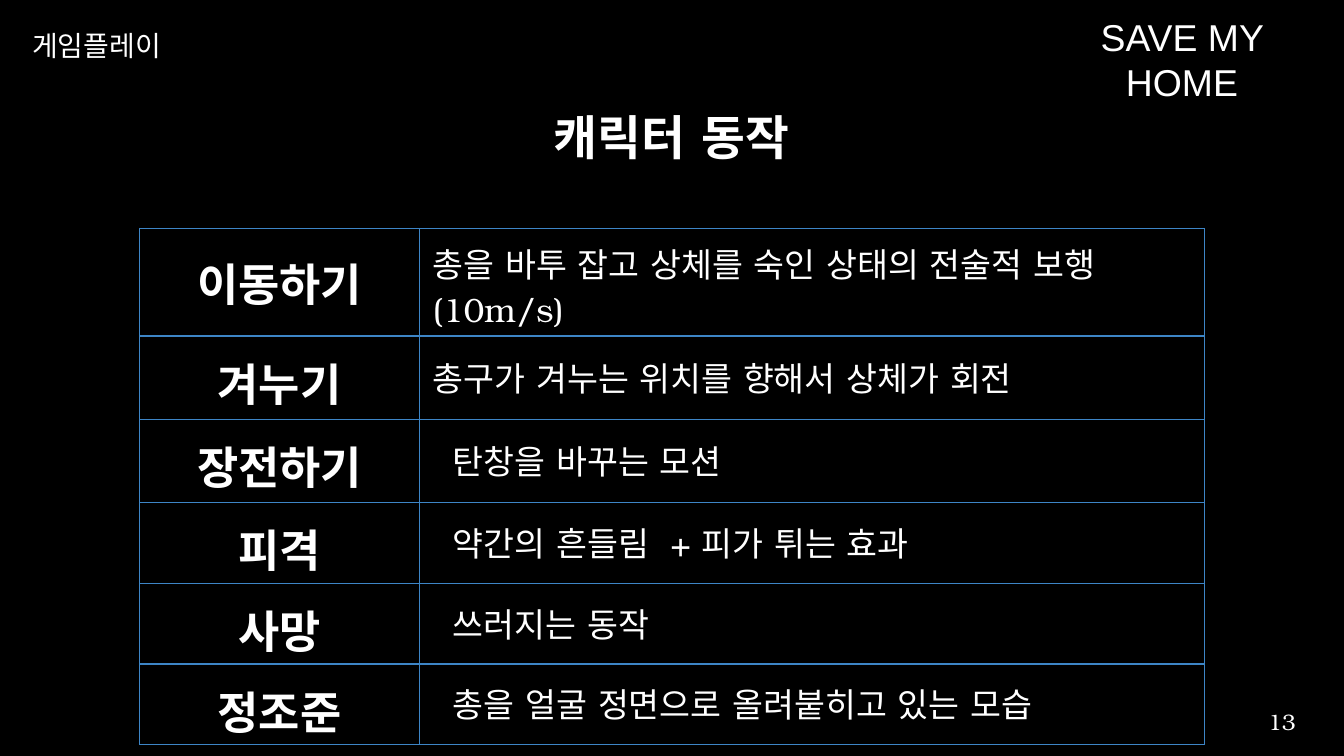
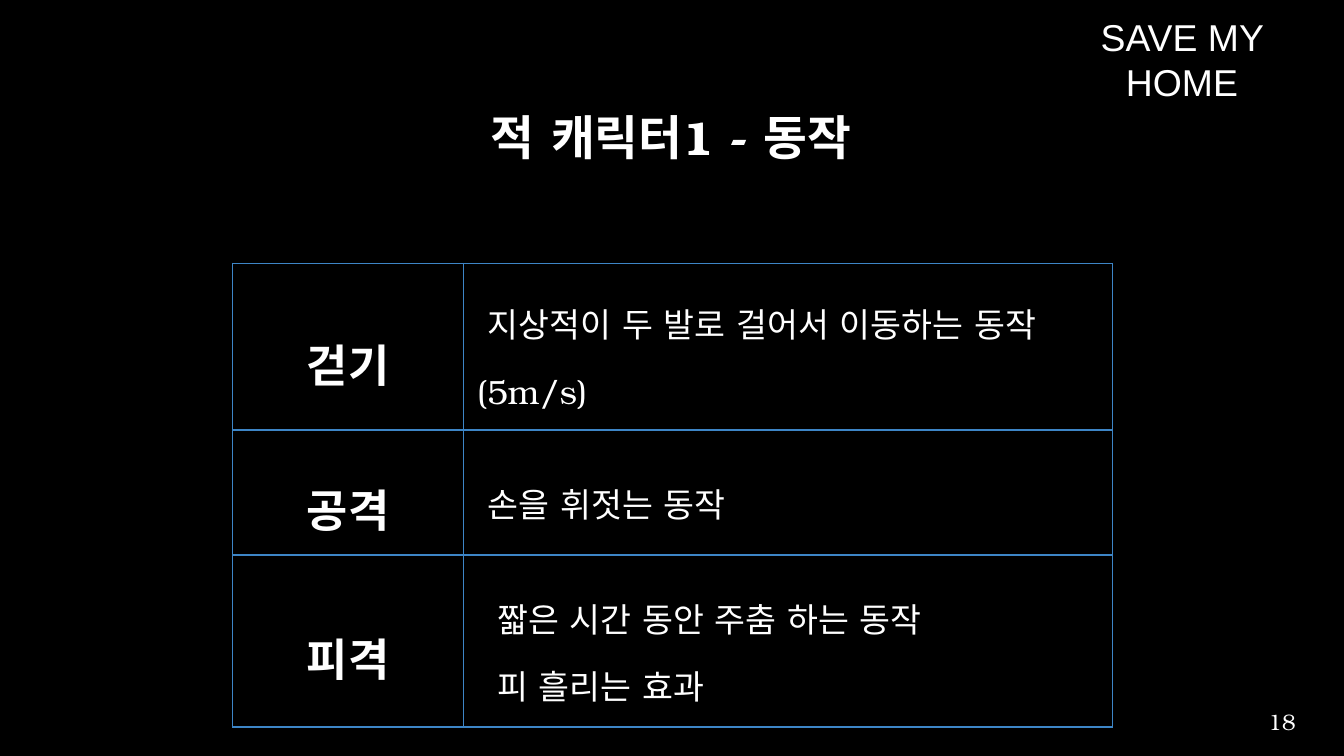
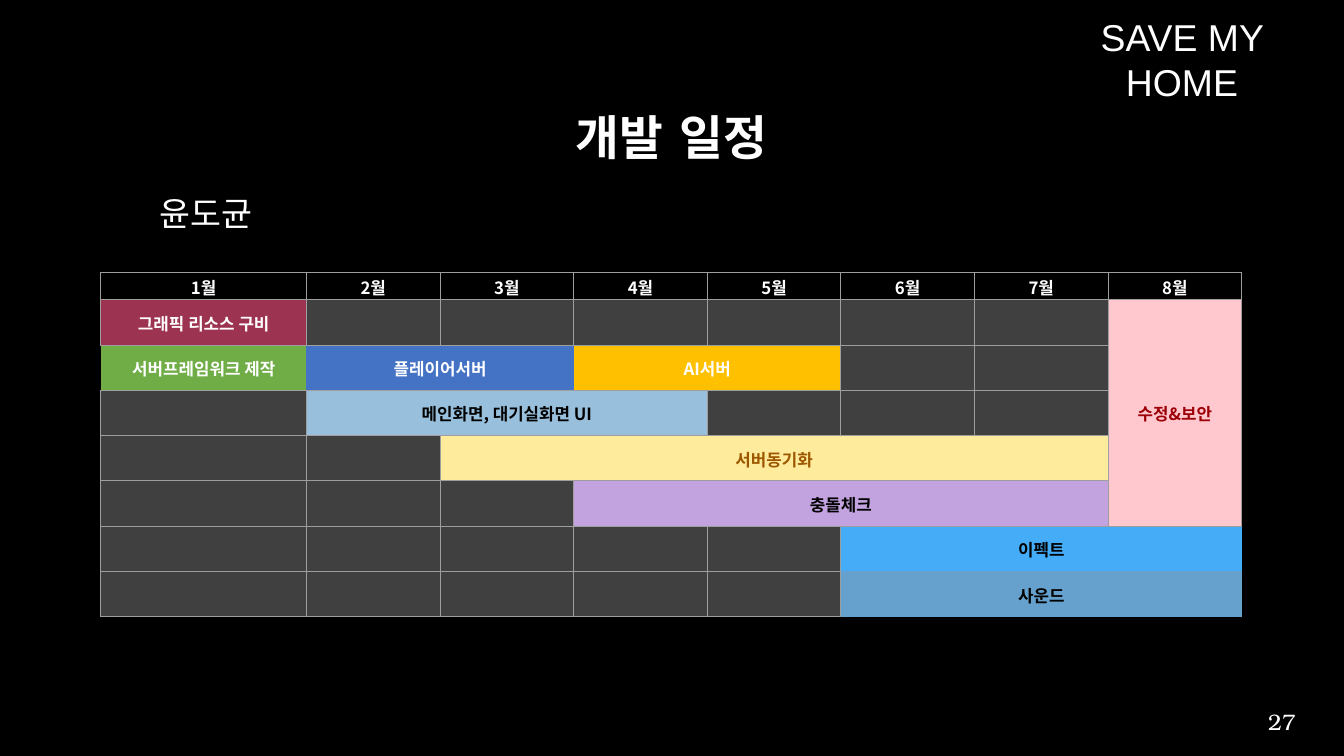
from lxml.etree import SubElement
from pptx import Presentation
from pptx.dml.color import RGBColor
from pptx.enum.text import MSO_ANCHOR, MSO_AUTO_SIZE, PP_ALIGN
from pptx.oxml.ns import qn
from pptx.util import Inches, Pt

BLACK = RGBColor(0x00, 0x00, 0x00)
WHITE = RGBColor(0xFF, 0xFF, 0xFF)
SILVER = RGBColor(0xA6, 0xA6, 0xA6)
BLUE_RULE = RGBColor(0x3D, 0x85, 0xC6)
GREY_RULE = RGBColor(0x9E, 0x9E, 0x9E)
IDLE = RGBColor(0x40, 0x40, 0x40)
MAROON = RGBColor(0x9C, 0x33, 0x51)
GREEN = RGBColor(0x70, 0xAD, 0x47)
ROYAL = RGBColor(0x44, 0x72, 0xC4)
AMBER = RGBColor(0xFF, 0xC0, 0x00)
PALE_BLUE = RGBColor(0x98, 0xC0, 0xDD)
CREAM = RGBColor(0xFF, 0xEB, 0x9C)
BROWN = RGBColor(0x9C, 0x57, 0x00)
LILAC = RGBColor(0xC2, 0xA3, 0xDF)
SKY = RGBColor(0x45, 0xAD, 0xF8)
STEEL = RGBColor(0x65, 0xA1, 0xCC)
PINK = RGBColor(0xFF, 0xC7, 0xCE)
DARK_RED = RGBColor(0x9C, 0x00, 0x06)

SERIF = "TeX Gyre Bonum"
SANS = "Noto Sans CJK KR"
NO_STYLE = "{2D5ABB26-0587-4C30-8999-92F81FD0307C}"
ALL_SIDES = "LRTB"
MONTHS = 8
TASK_ROWS = 7

MOVES = [
    ("이동하기", ["총을 바투 잡고 상체를 숙인 상태의 전술적 보행 (10m/s)"], 0),
    ("겨누기", ["총구가 겨누는 위치를 향해서 상체가 회전"], 0),
    ("장전하기", ["탄창을 바꾸는 모션"], 0.15),
    ("피격", ["약간의 흔들림  + 피가 튀는 효과"], 0.15),
    ("사망", ["쓰러지는 동작"], 0.15),
    ("정조준", ["총을 얼굴 정면으로 올려붙히고 있는 모습"], 0.15),
]
ENEMY_MOVES = [
    ("걷기", [" 지상적이 두 발로 걸어서 이동하는 동작 (5m/s)"], 0),
    ("공격", [" 손을 휘젓는 동작"], 0),
    ("피격", ["짧은 시간 동안 주춤 하는 동작", "피 흘리는 효과"], 0.15),
]
# Each task: row, first month column, rows spanned, months spanned, label, fill, ink, ruled sides
TASKS = [
    (1, 0, 1, 1, "그래픽 리소스 구비", MAROON, WHITE, ALL_SIDES),
    (1, 7, 5, 1, "수정&보안", PINK, DARK_RED, ALL_SIDES),
    (2, 0, 1, 1, "서버프레임워크 제작", GREEN, WHITE, "TB"),
    (2, 1, 1, 2, "플레이어서버", ROYAL, WHITE, "TB"),
    (2, 3, 1, 2, "AI서버", AMBER, WHITE, "RTB"),
    (3, 1, 1, 3, "메인화면, 대기실화면 UI", PALE_BLUE, BLACK, ALL_SIDES),
    (4, 2, 1, 5, "서버동기화", CREAM, BROWN, "LRB"),
    (5, 3, 1, 4, "충돌체크", LILAC, BLACK, "LRB"),
    (6, 5, 1, 3, "이펙트", SKY, BLACK, "L"),
    (7, 5, 1, 3, "사운드", STEEL, BLACK, "L"),
]


def style_paragraph(paragraph, size, face=SERIF, ink=WHITE, bold=False,
                    align=PP_ALIGN.LEFT, spacing=None, indent=0):
    """Format a paragraph and its runs, including the East Asian typeface."""
    paragraph.alignment = align
    if spacing:
        paragraph.line_spacing = spacing
    if indent:
        properties = paragraph._p.get_or_add_pPr()
        properties.set("marL", str(Inches(indent)))
        properties.set("indent", "0")
    for run in paragraph.runs:
        run.font.size = Pt(size)
        run.font.name = face
        run.font.bold = bold
        run.font.color.rgb = ink
        SubElement(run.font._element, qn("a:ea"), typeface=face)
    if not paragraph.runs:
        SubElement(paragraph._p, qn("a:endParaRPr"), sz=str(size * 100))


def add_label(slide, text, left, top, width, height, size, anchor=MSO_ANCHOR.MIDDLE,
              fitted=False, **style):
    """Add a one-paragraph text box and return its frame."""
    box = slide.shapes.add_textbox(Inches(left), Inches(top), Inches(width), Inches(height))
    frame = box.text_frame
    frame.word_wrap = not fitted
    frame.auto_size = MSO_AUTO_SIZE.SHAPE_TO_FIT_TEXT if fitted else MSO_AUTO_SIZE.NONE
    frame.vertical_anchor = anchor
    frame.text = text
    style_paragraph(frame.paragraphs[0], size, **style)
    return frame


def add_game_name(slide):
    """Add the game's name in a white to silver gradient."""
    frame = add_label(slide, "SAVE MY HOME", 7.68, 0.17, 2.23, 0.54, 20,
                      face="Arial", align=PP_ALIGN.CENTER)
    frame.margin_left = frame.margin_right = Inches(0.1)
    frame.margin_top = frame.margin_bottom = Inches(0.1)
    fill = frame.paragraphs[0].runs[0].font.fill
    fill.gradient()
    fill.gradient_angle = 267
    for stop, shade in zip(fill.gradient_stops, (WHITE, SILVER)):
        stop.color.rgb = shade


def start_slide(deck, title, number):
    """Add a black slide with game name, page number and title."""
    slide = deck.slides.add_slide(deck.slide_layouts[6])
    slide.background.fill.solid()
    slide.background.fill.fore_color.rgb = BLACK
    add_game_name(slide)
    add_label(slide, str(number), 9.12, 5.22, 0.62, 0.3, 12, align=PP_ALIGN.RIGHT)
    add_label(slide, title, 0.75, 0.5, 8.49, 1.09, 25.5, bold=True,
              align=PP_ALIGN.CENTER, spacing=0.9)
    return slide


def add_plain_table(slide, left, top, height, widths, heights):
    """Add a table without a preset style and return it."""
    holder = slide.shapes.add_table(len(heights), len(widths), Inches(left), Inches(top),
                                    Inches(sum(widths)), Inches(height))
    table = holder.table
    table.first_row = table.horz_banding = False
    table._tbl.tblPr.find(qn("a:tableStyleId")).text = NO_STYLE
    for column, width in zip(table.columns, widths):
        column.width = Inches(width)
    for row, row_height in zip(table.rows, heights):
        row.height = Inches(row_height)
    holder.height = Inches(height)
    return table


def fill_cell(cell, lines, fill, rule, rule_width, margins, sides=ALL_SIDES, **style):
    """Give a cell its rules, fill, margins and formatted lines."""
    properties = cell._tc.get_or_add_tcPr()
    for side in sides:
        line = SubElement(properties, qn(f"a:ln{side}"), w=str(Pt(rule_width)))
        solid = SubElement(line, qn("a:solidFill"))
        SubElement(solid, qn("a:srgbClr"), val=str(rule))
    cell.fill.solid()
    cell.fill.fore_color.rgb = fill
    cell.vertical_anchor = MSO_ANCHOR.MIDDLE
    (cell.margin_left, cell.margin_top,
     cell.margin_right, cell.margin_bottom) = [Inches(margin) for margin in margins]
    cell.text_frame.text = "\n".join(lines)
    for paragraph in cell.text_frame.paragraphs:
        style_paragraph(paragraph, **style)


def add_move_table(slide, moves, left, top, height, widths, heights, spacing=None):
    """Add a table of move names and their descriptions."""
    table = add_plain_table(slide, left, top, height, widths, heights)
    look = dict(fill=BLACK, rule=BLUE_RULE, rule_width=0.75, margins=[0.1] * 4, spacing=spacing)
    for row, (move, description, indent) in enumerate(moves):
        fill_cell(table.cell(row, 0), [move], size=24, bold=True,
                  align=PP_ALIGN.CENTER, **look)
        fill_cell(table.cell(row, 1), description, size=18, indent=indent, **look)


def add_schedule(slide):
    """Add the month grid with its merged task bars."""
    width, height, first_month, header = 8.49, 2.56, 1.53, 0.2
    later_month = (width - first_month) / (MONTHS - 1)
    task_height = (height - header) / TASK_ROWS
    table = add_plain_table(slide, 0.75, 2.03, height,
                            [first_month] + [later_month] * (MONTHS - 1),
                            [header] + [task_height] * TASK_ROWS)
    look = dict(rule=GREY_RULE, rule_width=0.5, margins=(0.01, 0.01, 0.01, 0), size=9,
                face=SANS, bold=True, align=PP_ALIGN.CENTER)
    bars = {(0, month): ([f"{month + 1}월"], BLACK, WHITE, ALL_SIDES)
            for month in range(MONTHS)}
    for row, month, rows, months, task, fill, ink, sides in TASKS:
        bars[row, month] = ([task], fill, ink, sides)
        if rows * months > 1:
            table.cell(row, month).merge(table.cell(row + rows - 1, month + months - 1))
    for row in range(TASK_ROWS + 1):
        for month in range(MONTHS):
            cell = table.cell(row, month)
            if not cell.is_spanned:
                lines, fill, ink, sides = bars.get((row, month), ([], IDLE, WHITE, ALL_SIDES))
                fill_cell(cell, lines, fill, sides=sides, ink=ink, **look)


def main():
    """Build and save the three slides."""
    deck = Presentation()
    deck.slide_width = Inches(10)
    deck.slide_height = deck.slide_width * 9 // 16

    character = start_slide(deck, "캐릭터 동작", 13)
    add_label(character, "게임플레이", 0.14, 0.16, 1.25, 0.35, 15,
              anchor=MSO_ANCHOR.TOP, fitted=True, face=SANS)
    add_move_table(character, MOVES, 1.04, 1.7, 3.67, [2.08, 5.84],
                   [0.64, 0.62, 0.62, 0.3, 0.3, 0.31])

    enemy = start_slide(deck, "적 캐릭터1 - 동작", 18)
    add_move_table(enemy, ENEMY_MOVES, 1.73, 1.96, 3.45, [1.72, 4.83],
                   [1.24, 0.93, 1.28], spacing=1.5)

    schedule = start_slide(deck, "개발 일정", 27)
    add_label(schedule, "윤도균", 1.09, 1.39, 0.96, 0.4, 18,
              anchor=MSO_ANCHOR.TOP, fitted=True)
    add_schedule(schedule)

    deck.save("out.pptx")


if __name__ == "__main__":
    main()
